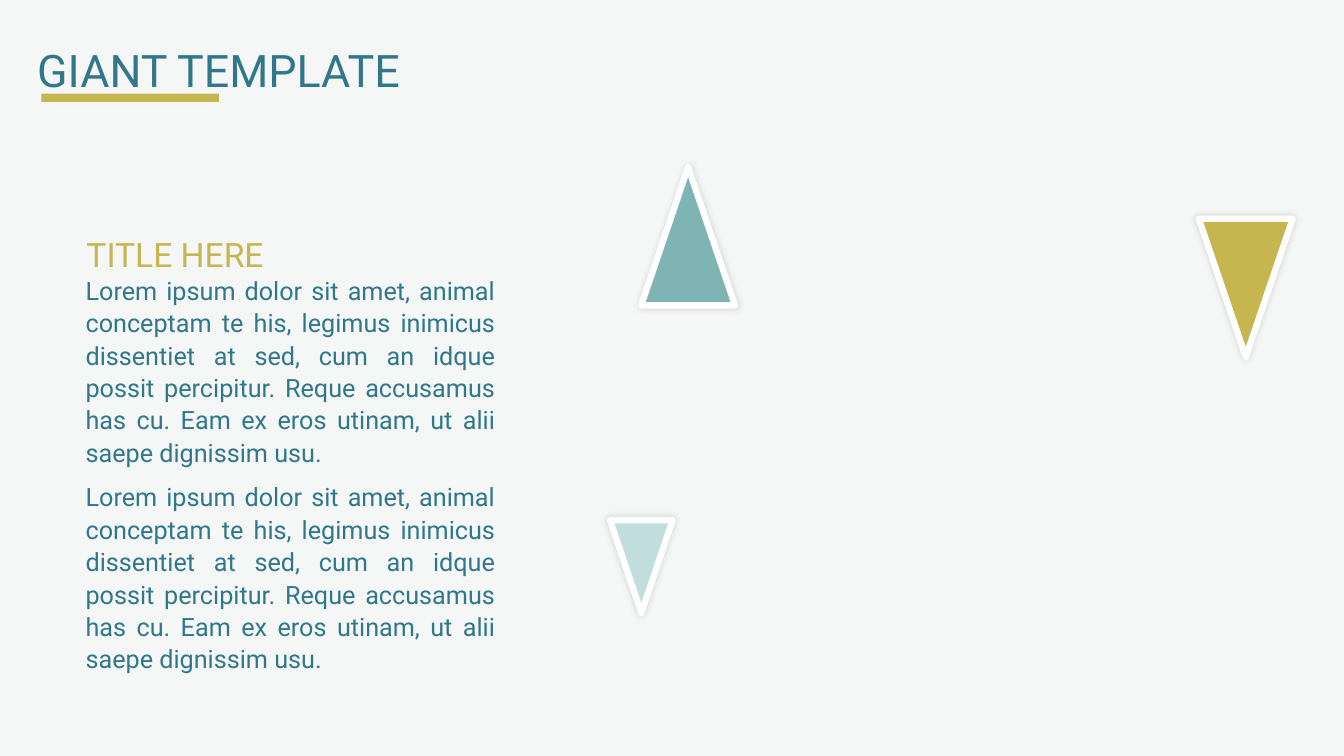
from lxml.etree import SubElement
from pptx import Presentation
from pptx.dml.color import RGBColor
from pptx.enum.shapes import MSO_SHAPE as Shape
from pptx.enum.text import MSO_AUTO_SIZE as AutoSize, PP_ALIGN as Align
from pptx.oxml.ns import qn
from pptx.util import Inches, Pt

WIDTH, HEIGHT = Inches(13.33), Inches(7.5)
FONT = "Roboto"
TEAL, GOLD, SAGE, MIST = "30778B", "C5B64F", "7EB4B4", "C1DDDE"
WHITE, PAPER = "FFFFFF", "F5F7F6"
LOREM = (
    "Lorem ipsum dolor sit amet, animal conceptam te his, legimus inimicus "
    "dissentiet at sed, cum an idque possit percipitur. Reque accusamus has cu. "
    "Eam ex eros utinam, ut alii saepe dignissim usu. "
)


def color(value):
    """Turn a hex string into a colour."""
    return RGBColor.from_string(value)


def area(x, y, w, h):
    """Turn percentages of the slide's size into a position and a size."""
    return [round(share * side / 100)
            for share, side in zip((x, y, w, h), (WIDTH, HEIGHT) * 2)]


def add_filled(s, kind, box, fill):
    """Add a flat preset shape without an outline."""
    sp = s.shapes.add_shape(kind, *area(*box))
    sp.shadow.inherit = False
    sp.fill.solid()
    sp.fill.fore_color.rgb = color(fill)
    sp.line.fill.background()
    return sp


def add_soft_shadow(sp, blur=5, opacity=15):
    """Give a shape a faint black shadow on all sides."""
    effects = sp._element.spPr.find(qn("a:effectLst"))
    shadow = SubElement(effects, qn("a:outerShdw"), blurRad=str(Pt(blur)),
                        dist="0", dir="0", algn="ctr", rotWithShape="0")
    black = SubElement(shadow, qn("a:srgbClr"), val="000000")
    SubElement(black, qn("a:alpha"), val=str(opacity * 1000))


def add_triangle(s, box, fill, rotation=0):
    """Add a white-edged triangle with a soft shadow."""
    sp = add_filled(s, Shape.ISOSCELES_TRIANGLE, box, fill)
    sp.rotation = rotation
    sp.line.color.rgb = color(WHITE)
    sp.line.width = Pt(4.5)
    add_soft_shadow(sp)


def add_text(s, box, text, size, ink, auto_size=AutoSize.SHAPE_TO_FIT_TEXT,
             align=None, spacing=None, after=None):
    """Add a wrapped text box with one paragraph."""
    tf = s.shapes.add_textbox(*area(*box)).text_frame
    tf.word_wrap = True
    tf.auto_size = auto_size
    p = tf.paragraphs[0]
    p.alignment = align
    p.line_spacing = spacing
    p.space_after = after
    r = p.add_run()
    r.text = text
    r.font.name = FONT
    r.font.size = Pt(size)
    r.font.color.rgb = color(ink)


def main():
    """Build the slide and save it."""
    prs = Presentation()
    prs.slide_width, prs.slide_height = WIDTH, HEIGHT
    s = prs.slides.add_slide(prs.slide_layouts[6])
    s.background.fill.solid()
    s.background.fill.fore_color.rgb = color(PAPER)

    add_triangle(s, (89.2, 28.93, 6.98, 18.27), GOLD, 180)
    add_triangle(s, (47.71, 22.13, 6.98, 18.27), SAGE)
    add_triangle(s, (45.39, 68.8, 4.65, 12.27), MIST, 180)

    add_text(s, (2.03, 4.93, 49.44, 8.53), "GIANT TEMPLATE", 32, TEAL)
    add_filled(s, Shape.RECTANGLE, (3.08, 12.4, 13.2, 1.07), GOLD)

    body_top, body_height = 35.47, 27.33
    for row in range(2):
        add_text(s, (5.63, body_top + row * body_height, 31.96, body_height),
                 LOREM, 18, TEAL, align=Align.JUSTIFY, spacing=1.07, after=Pt(8))
    add_text(s, (5.7, 30.93, 19.35, 5.07), "TITLE HERE", 24, GOLD,
             auto_size=AutoSize.NONE, spacing=0.9)

    prs.save("out.pptx")


if __name__ == "__main__":
    main()
